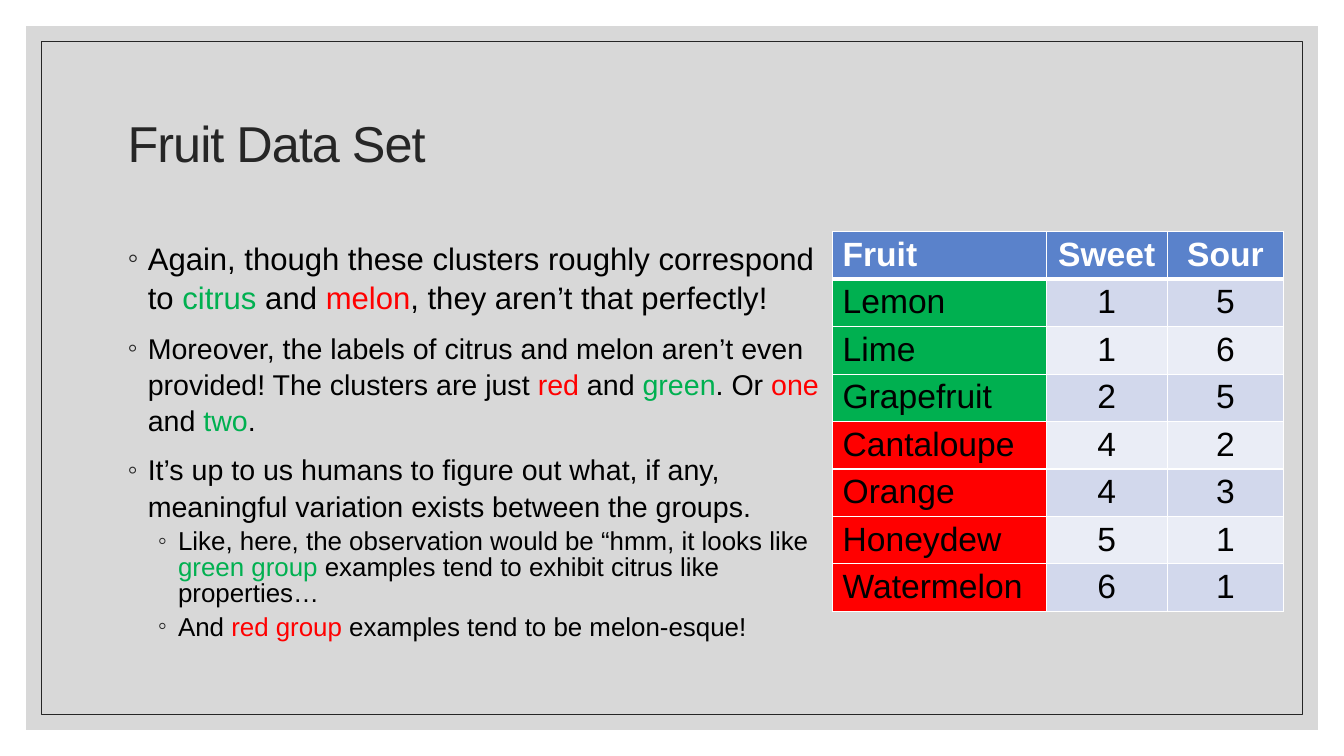
from lxml import etree
from pptx import Presentation
from pptx.dml.color import RGBColor
from pptx.enum.shapes import MSO_SHAPE
from pptx.enum.text import MSO_ANCHOR, MSO_AUTO_SIZE, PP_ALIGN
from pptx.oxml.ns import qn
from pptx.util import Pt

RECTANGLE = MSO_SHAPE.RECTANGLE
MIDDLE, TOP = MSO_ANCHOR.MIDDLE, MSO_ANCHOR.TOP
LEFT, CENTER = PP_ALIGN.LEFT, PP_ALIGN.CENTER
NO_AUTOFIT = MSO_AUTO_SIZE.NONE

FONT = "Arial"
BLACK, WHITE, DARK = "000000", "FFFFFF", "262626"
GREEN, RED = "00B050", "FF0000"
HEADER_FILL = "5A82CB"
BAND_FILLS = ("D2D8EC", "EAEDF6")

LEVELS = (
    {"left": 14.4, "line": 1.06, "before": 9},
    {"left": 36, "line": 0.84, "before": 5},
)
BULLETS = (
    (0, 22.2, (("Again, though these clusters roughly correspond to ", BLACK),
               ("citrus", GREEN), (" and ", BLACK), ("melon", RED),
               (", they aren’t that perfectly!", BLACK))),
    (0, 20.4, (("Moreover, the labels of citrus and melon aren’t even provided! "
                "The clusters are just ", BLACK),
               ("red", RED), (" and ", BLACK), ("green", GREEN), (". Or ", BLACK),
               ("one", RED), (" and ", BLACK), ("two", GREEN), (".", BLACK))),
    (0, 20.4, (("It’s up to us humans to figure out what, if any, "
                "meaningful variation exists between the groups.", BLACK),)),
    (1, 18.5, (("Like, here, the observation would be “hmm, it looks like ", BLACK),
               ("green group ", GREEN),
               ("examples tend to exhibit citrus like properties…", BLACK))),
    (1, 18.5, (("And ", BLACK), ("red group ", RED),
               ("examples tend to be melon-esque!", BLACK))),
)
COLUMN_WIDTHS = (152.6, 86.4, 83.2)
ROW_HEIGHT = 33.9
HEADINGS = ("Fruit", "Sweet", "Sour")
FRUITS = (
    ("Lemon", 1, 5, GREEN),
    ("Lime", 1, 6, GREEN),
    ("Grapefruit", 2, 5, GREEN),
    ("Cantaloupe", 4, 2, RED),
    ("Orange", 4, 3, RED),
    ("Honeydew", 5, 1, RED),
    ("Watermelon", 6, 1, RED),
)


def color(value):
    """Turn a hex string into a colour."""
    return RGBColor.from_string(value)


def add_run(paragraph, text, size, font_color, bold=False):
    """Add one formatted run to a paragraph."""
    run = paragraph.add_run()
    run.text = text
    run.font.name = FONT
    run.font.size = Pt(size)
    run.font.bold = bold
    run.font.color.rgb = color(font_color)
    return run


def place(shape, left, top, width, height):
    """Move and size a shape in points."""
    shape.left, shape.top = Pt(left), Pt(top)
    shape.width, shape.height = Pt(width), Pt(height)


def add_backdrop(slide, inset, order):
    """Add a rectangle inset from the slide edges, behind the placeholders."""
    shape = slide.shapes.add_shape(
        RECTANGLE, Pt(inset), Pt(inset), Pt(960 - 2 * inset), Pt(540 - 2 * inset))
    shape.shadow.inherit = False
    shape.element.getparent().insert(2 + order, shape.element)
    return shape


def add_panel(slide):
    """Add the translucent grey panel and its thin frame."""
    panel = add_backdrop(slide, 18.7, 0)
    panel.fill.solid()
    panel.fill.fore_color.rgb = color("BFBFBF")
    fill_color = panel.element.spPr.find(qn("a:solidFill"))[0]
    etree.SubElement(fill_color, qn("a:alpha"), val="60000")
    panel.line.fill.background()
    frame = add_backdrop(slide, 29.5, 1)
    frame.fill.background()
    frame.line.color.rgb = color(DARK)
    frame.line.width = Pt(0.5)


def fill_title(title):
    """Write the slide title."""
    place(title, 84, 50.4, 792, 108)
    frame = title.text_frame
    frame.auto_size = NO_AUTOFIT
    frame.vertical_anchor = MIDDLE
    paragraph = frame.paragraphs[0]
    paragraph.alignment = LEFT
    paragraph.line_spacing = 0.9
    run = add_run(paragraph, "Fruit Data Set", 36, DARK)
    run.font._element.set("spc", "-70")


def format_bullet(paragraph, level):
    """Set the level, spacing, indent and round bullet of a paragraph."""
    style = LEVELS[level]
    paragraph.level = level
    paragraph.alignment = LEFT
    paragraph.line_spacing = style["line"]
    paragraph.space_before = Pt(style["before"])
    paragraph.space_after = Pt(0)
    properties = paragraph._p.get_or_add_pPr()
    properties.set("marL", str(Pt(style["left"])))
    properties.set("indent", str(Pt(-14.4)))
    bullet_color = etree.SubElement(properties, qn("a:buClr"))
    etree.SubElement(bullet_color, qn("a:srgbClr"), val=DARK)
    etree.SubElement(properties, qn("a:buFont"), typeface=FONT)
    etree.SubElement(properties, qn("a:buChar"), char="◦")


def fill_body(body):
    """Write the bulleted list."""
    place(body, 84, 165.6, 511.2, 303)
    frame = body.text_frame
    frame.auto_size = NO_AUTOFIT
    frame.vertical_anchor = TOP
    for index, (level, size, runs) in enumerate(BULLETS):
        paragraph = frame.add_paragraph() if index else frame.paragraphs[0]
        format_bullet(paragraph, level)
        for text, font_color in runs:
            add_run(paragraph, text, size, font_color)


def add_borders(cell, bottom_width):
    """Draw white borders around a cell."""
    properties = cell._tc.get_or_add_tcPr()
    for side, width in (("L", 1), ("R", 1), ("T", 1), ("B", bottom_width)):
        line = etree.SubElement(properties, qn(f"a:ln{side}"), w=str(Pt(width)))
        fill = etree.SubElement(line, qn("a:solidFill"))
        etree.SubElement(fill, qn("a:srgbClr"), val=WHITE)


def fill_cell(cell, text, fill, alignment, header):
    """Write and format one table cell."""
    add_borders(cell, 3 if header else 1)
    cell.fill.solid()
    cell.fill.fore_color.rgb = color(fill)
    cell.margin_top = cell.margin_bottom = Pt(3.1)
    paragraph = cell.text_frame.paragraphs[0]
    paragraph.alignment = alignment
    add_run(paragraph, str(text), 24, WHITE if header else BLACK, header)


def add_fruit_table(slide):
    """Add the table of fruits, coloured by cluster."""
    rows = [(HEADINGS, (HEADER_FILL,) * 3)]
    for index, (name, sweet, sour, cluster) in enumerate(FRUITS):
        band = BAND_FILLS[index % 2]
        rows.append(((name, sweet, sour), (cluster, band, band)))
    table = slide.shapes.add_table(
        len(rows), len(HEADINGS), Pt(594.7), Pt(165.6),
        Pt(sum(COLUMN_WIDTHS)), Pt(ROW_HEIGHT * len(rows))).table
    for column, width in zip(table.columns, COLUMN_WIDTHS):
        column.width = Pt(width)
    for row_index, (values, fills) in enumerate(rows):
        table.rows[row_index].height = Pt(ROW_HEIGHT)
        for column_index, (value, fill) in enumerate(zip(values, fills)):
            fill_cell(table.cell(row_index, column_index), value, fill,
                      CENTER if column_index else LEFT, row_index == 0)


def main():
    """Build and save the slide."""
    presentation = Presentation()
    presentation.slide_width, presentation.slide_height = Pt(960), Pt(540)
    slide = presentation.slides.add_slide(presentation.slide_layouts[1])
    add_panel(slide)
    fill_title(slide.shapes.title)
    fill_body(slide.placeholders[1])
    add_fruit_table(slide)
    presentation.save("out.pptx")


if __name__ == "__main__":
    main()
